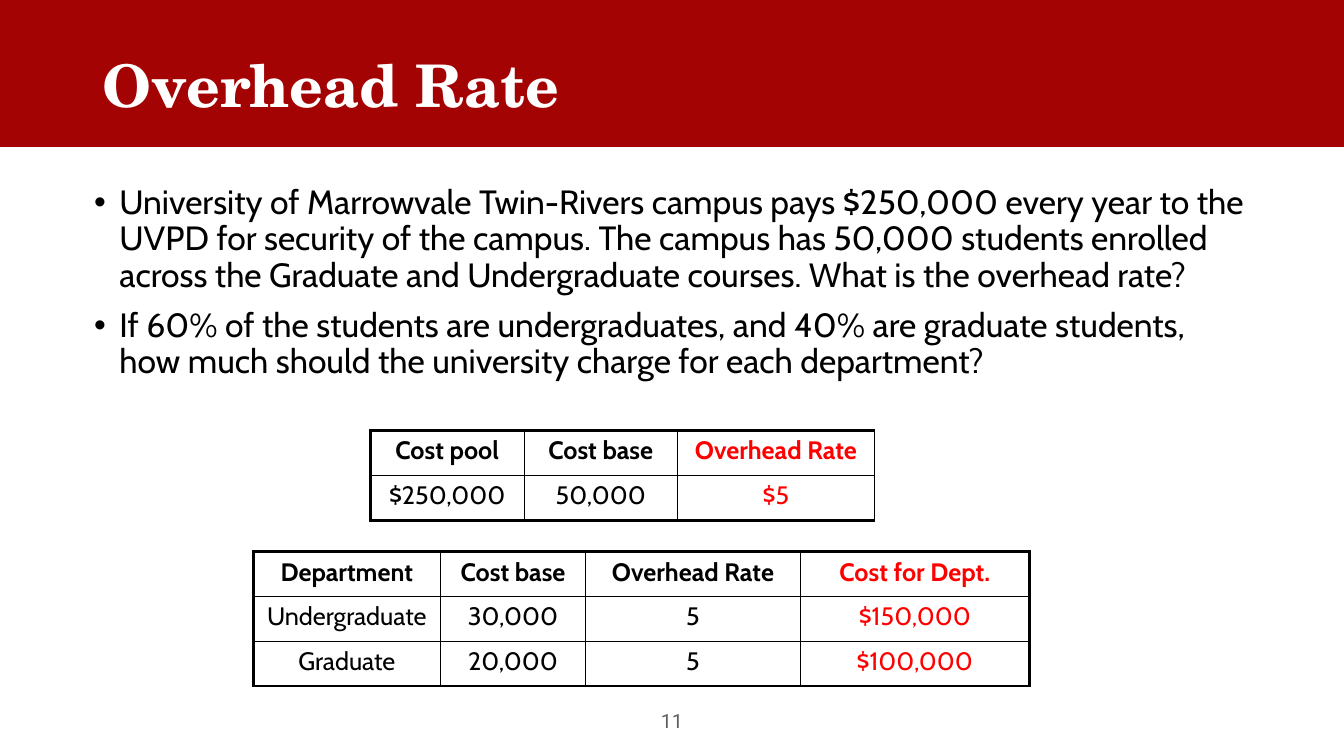
from dataclasses import dataclass

from lxml.etree import SubElement
from pptx import Presentation
from pptx.dml.color import RGBColor
from pptx.enum.shapes import MSO_SHAPE as Shape
from pptx.enum.text import MSO_ANCHOR as Anchor, PP_ALIGN as Align
from pptx.oxml.ns import qn
from pptx.util import Cm, Pt


@dataclass(frozen=True)
class Theme:
    """Colours, fonts, type sizes and line widths of the slide."""
    banner: str = "A40304"
    ink: str = "000000"
    answer: str = "FF0000"
    muted: str = "5F5F5F"
    white: str = "FFFFFF"
    title_font: str = "TeX Gyre Schola"
    body_font: str = "Cabin"
    number_font: str = "Roboto"
    title_size: float = 42
    body_size: float = 24
    table_size: float = 18
    number_size: float = 14
    thin: float = 1
    thick: float = 2.25


THEME = Theme()

QUESTIONS = [
    "University of Marrowvale Twin-Rivers campus pays $250,000 every year to the "
    "UVPD for security of the campus. The campus has 50,000 students enrolled "
    "across the Graduate and Undergraduate courses. What is the overhead rate?",
    "If 60% of the students are undergraduates, and 40% are graduate students, "
    "how much should the university charge for each department?",
]
RATE_ROWS = [
    ["Cost pool", "Cost base", "Overhead Rate"],
    ["$250,000", "50,000", "$5"],
]
CHARGE_ROWS = [
    ["Department", "Cost base", "Overhead Rate", "Cost for Dept."],
    ["Undergraduate", "30,000", "5", "$150,000"],
    ["Graduate", "20,000", "5", "$100,000"],
]


def write(para, text, *, font, size, color, bold=False, align=Align.LEFT,
          line=1.0, before=0):
    """Fill a paragraph with one formatted run."""
    para.alignment = align
    para.line_spacing = line
    para.space_before = Pt(before)
    span = para.add_run()
    span.text = text
    span.font.name = font
    span.font.size = Pt(size)
    span.font.bold = bold
    span.font.color.rgb = RGBColor.from_string(color)


def add_bullet(para):
    """Give a paragraph a round bullet with a hanging indent."""
    properties = para._p.get_or_add_pPr()
    properties.set("marL", str(Cm(0.64)))
    properties.set("indent", str(-Cm(0.64)))
    SubElement(properties, qn("a:buFont"), typeface="Arial")
    SubElement(properties, qn("a:buChar"), char="•")


def add_banner(page, width, height):
    """Draw the coloured band across the top."""
    banner = page.shapes.add_shape(Shape.RECTANGLE, 0, 0, width, height)
    banner.shadow.inherit = False
    banner.fill.solid()
    banner.fill.fore_color.rgb = RGBColor.from_string(THEME.banner)
    banner.line.color.rgb = RGBColor.from_string(THEME.banner)
    banner.line.width = Pt(THEME.thin)


def add_text(page, left, top, width, height, texts, *, anchor=Anchor.TOP,
             bullets=False, **text_format):
    """Add a text box with one paragraph for each text."""
    box = page.shapes.add_textbox(Cm(left), Cm(top), Cm(width), Cm(height))
    frame = box.text_frame
    frame.word_wrap = True
    frame.vertical_anchor = anchor
    for index, text in enumerate(texts):
        para = frame.add_paragraph() if index else frame.paragraphs[0]
        write(para, text, **text_format)
        if bullets:
            add_bullet(para)


def set_borders(cell, **widths):
    """Draw the four cell borders, given in points by side."""
    properties = cell._tc.get_or_add_tcPr()
    for side in "LRTB":
        border = SubElement(properties, qn(f"a:ln{side}"), w=str(Pt(widths[side])))
        fill = SubElement(border, qn("a:solidFill"))
        SubElement(fill, qn("a:srgbClr"), val=THEME.ink)


def add_grid(page, left, top, widths, rows, *, right_edge):
    """Add a bordered table whose last column holds the answers."""
    row_height = Cm(1.13)
    graphic = page.shapes.add_table(len(rows), len(widths), Cm(left), Cm(top),
                                    Cm(sum(widths)), row_height * len(rows))
    table = graphic.table
    table.first_row = table.horz_banding = False
    for column, width in zip(table.columns, widths):
        column.width = Cm(width)
    last_row, last_column = len(rows) - 1, len(widths) - 1
    for y, row in enumerate(rows):
        table.rows[y].height = row_height
        for x, text in enumerate(row):
            cell = table.cell(y, x)
            write(cell.text_frame.paragraphs[0], text, font=THEME.body_font,
                  size=THEME.table_size, bold=y == 0, align=Align.CENTER,
                  before=THEME.table_size * 0.2,
                  color=THEME.answer if x == last_column else THEME.ink)
            set_borders(cell,
                        L=THEME.thin if x else THEME.thick,
                        R=right_edge if x == last_column else THEME.thin,
                        T=THEME.thin if y else THEME.thick,
                        B=THEME.thick if y == last_row else THEME.thin)
            cell.fill.background()


def main():
    """Build the overhead rate slide and save it."""
    deck = Presentation()
    deck.slide_width, deck.slide_height = Cm(33.87), Cm(19.05)
    page = deck.slides.add_slide(deck.slide_layouts[6])
    add_banner(page, deck.slide_width, Cm(3.68))
    add_text(page, 11.22, 17.66, 11.43, 1.01, ["11"], anchor=Anchor.MIDDLE,
             font=THEME.number_font, size=THEME.number_size, color=THEME.muted,
             align=Align.CENTER)
    add_text(page, 2.12, 4.55, 29.63, 9.95, QUESTIONS, bullets=True,
             font=THEME.body_font, size=THEME.body_size, color=THEME.ink,
             line=0.9, before=10)
    add_grid(page, 9.33, 10.85, [3.88, 3.86, 4.97], RATE_ROWS,
             right_edge=THEME.thin)
    add_grid(page, 6.38, 13.9, [4.72, 3.66, 5.41, 5.77], CHARGE_ROWS,
             right_edge=THEME.thick)
    add_text(page, 2.34, 0.38, 29.21, 3.68, ["Overhead Rate"],
             anchor=Anchor.MIDDLE, font=THEME.title_font,
             size=THEME.title_size, color=THEME.white, bold=True, line=0.9)
    deck.save("out.pptx")


if __name__ == "__main__":
    main()
